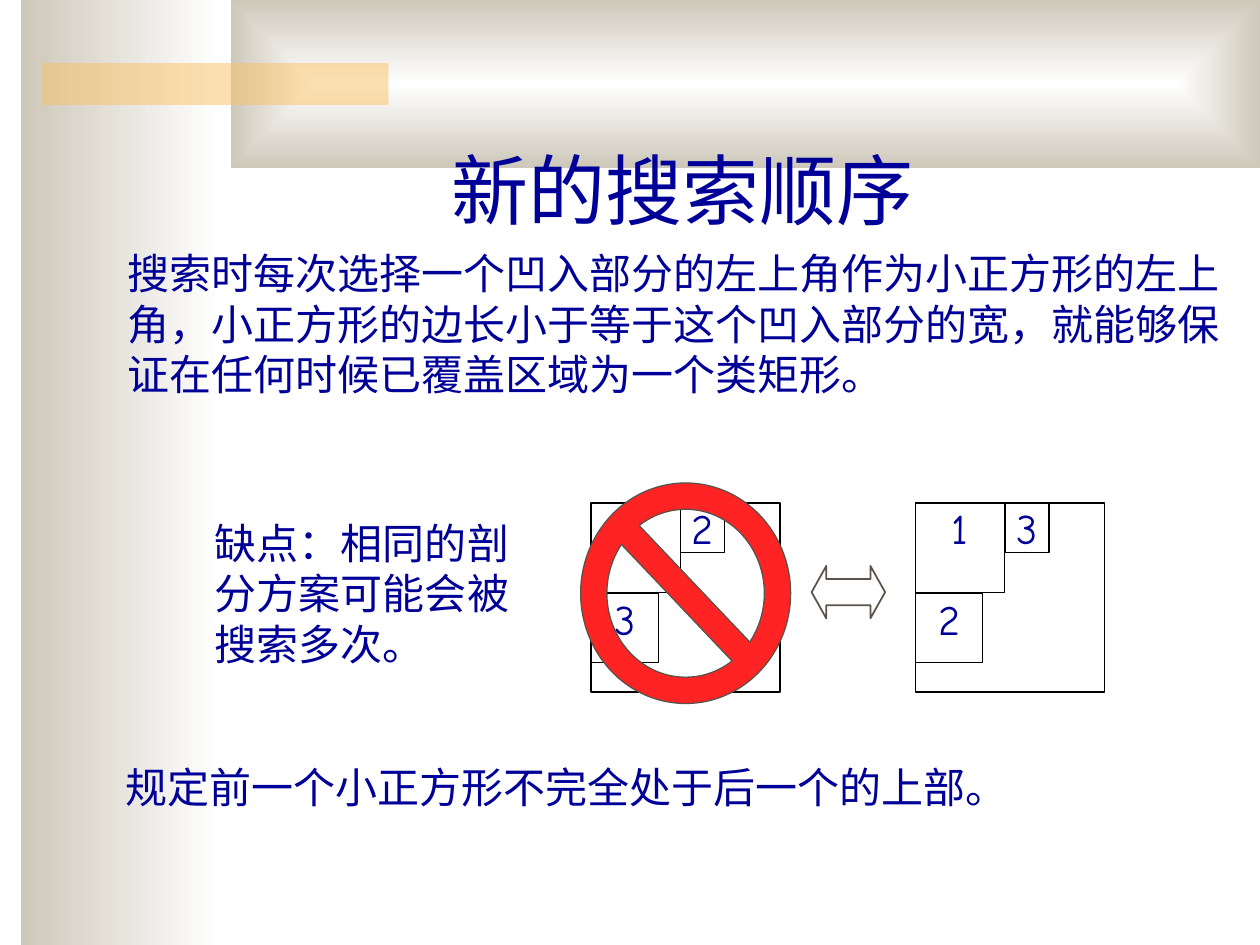
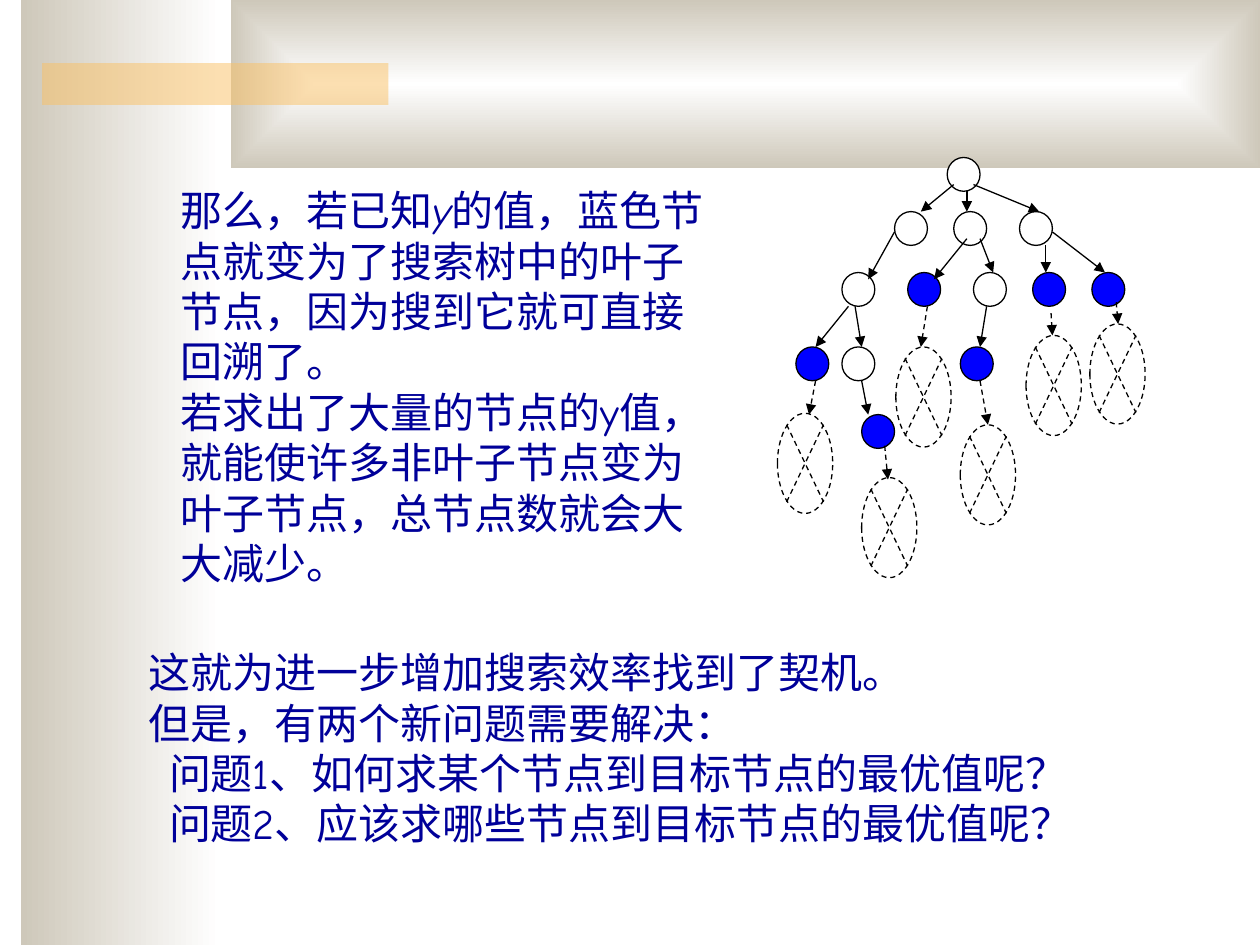
from dataclasses import dataclass
from typing import Any

from lxml import etree
from pptx import Presentation
from pptx import util as u
from pptx.dml.color import RGBColor
from pptx.enum import dml, shapes, text
from pptx.oxml.ns import qn

FONT = "Comic Neue"
NAVY, BLACK, WHITE, BLUE = "000099", "000000", "FFFFFF", "0000FF"
SAND, AMBER, RED, BROWN = "CEC8BA", "FAC164", "FF2323", "5B5249"
SHAPE = shapes.MSO_SHAPE
BODY_SIZE, TITLE_SIZE = 24, 44
TEXT_INSETS = (0.1, 0.05, 0.1, 0.05)


@dataclass(frozen=True)
class Grid:
    """Cells measured in inches from a left top corner."""
    left: float
    top: float
    column: float
    row: float

    def point(self, x: float, y: float) -> tuple:
        return u.Inches(self.left + x * self.column), u.Inches(self.top + y * self.row)

    def box(self, x: float, y: float, w: float, h: float) -> tuple:
        return (*self.point(x, y), u.Inches(w * self.column), u.Inches(h * self.row))


PAGE = Grid(0, 0, 10 / 120, 7.5 / 90)
TREE = Grid(6.16, 1.25, 0.0522, 0.0537)


@dataclass(frozen=True)
class Style:
    fill: str | None = None
    line: str | None = BLACK
    width: float = 0.75
    dashed: bool = False


@dataclass(frozen=True)
class Paragraph:
    runs: tuple
    indent: float = 0


@dataclass(frozen=True)
class Tile:
    x: float
    y: float
    w: float
    h: float


@dataclass(frozen=True)
class Node:
    x: float
    y: float
    fill: str = WHITE


@dataclass(frozen=True)
class Branch:
    x1: float
    y1: float
    x2: float
    y2: float
    dashed: bool = False


OUTLINE = Style()
DASHED = Style(dashed=True)
PLAIN = Style(line=None)


# Formatting helpers
def rgb(code: str) -> RGBColor:
    return RGBColor.from_string(code)


def apply(target: Any, formats: dict) -> None:
    for name, value in formats.items():
        setattr(target, name, value)


def style_line(line: Any, style: Style) -> None:
    if style.line is None:
        line.fill.background()
        return
    line.color.rgb = rgb(style.line)
    line.width = u.Pt(style.width)
    if style.dashed:
        line.dash_style = dml.MSO_LINE.DASH


def write(frame: Any, paragraphs: list[Paragraph], size: float = BODY_SIZE,
          align: Any = text.PP_ALIGN.LEFT, anchor: Any = text.MSO_ANCHOR.TOP,
          insets: tuple = TEXT_INSETS) -> None:
    sides = ("margin_left", "margin_top", "margin_right", "margin_bottom")
    apply(frame, {"word_wrap": True, "auto_size": text.MSO_AUTO_SIZE.NONE,
                  "vertical_anchor": anchor, **dict(zip(sides, map(u.Inches, insets)))})
    for index, content in enumerate(paragraphs):
        paragraph = frame.add_paragraph() if index else frame.paragraphs[0]
        paragraph.alignment = align
        if content.indent:
            paragraph._p.get_or_add_pPr().set("marL", str(u.Inches(content.indent)))
        for words, italic in content.runs:
            run = paragraph.add_run()
            run.text = words
            apply(run.font, {"name": FONT, "size": u.Pt(size), "italic": italic})
            run.font.color.rgb = rgb(NAVY)


def plain(words: str, indent: float = 0) -> Paragraph:
    return Paragraph(((words, False),), indent)


# Drawing helpers
def draw_shape(parent: Any, kind: Any, box: tuple, style: Style) -> Any:
    shape = parent.add_shape(kind, *box)
    shape.shadow.inherit = False
    if style.fill:
        shape.fill.solid()
        shape.fill.fore_color.rgb = rgb(style.fill)
    else:
        shape.fill.background()
    style_line(shape.line, style)
    return shape


def draw_line(parent: Any, start: tuple, end: tuple, style: Style, arrow: bool = False) -> None:
    line = parent.add_connector(shapes.MSO_CONNECTOR.STRAIGHT, *start, *end)
    style_line(line.line, style)
    if arrow:
        etree.SubElement(line.line._get_or_add_ln(), qn("a:tailEnd"), type="triangle")
    etree.SubElement(line._element.spPr, qn("a:effectLst"))


def draw_text(slide: Any, box: tuple, paragraphs: list[Paragraph]) -> None:
    write(slide.shapes.add_textbox(*box).text_frame, paragraphs)


def fade(shape: Any) -> None:
    shape.fill.gradient()
    shape.fill.gradient_angle = 180
    for stop, code, position in zip(shape.fill.gradient_stops, (WHITE, SAND), (0, 1)):
        stop.color.rgb = rgb(code)
        stop.position = position


def draw_bands(slide: Any) -> None:
    def band(*cells: float, fill: str | None = None) -> Any:
        return draw_shape(slide.shapes, SHAPE.RECTANGLE, PAGE.box(*cells),
                          Style(fill=fill, line=None))

    fade(band(2, 0, 19, 90))

    # The top band fades from its centre to its edges
    top = band(22, 0, 98, 16)
    fade(top)
    gradient = top._element.spPr.find(qn("a:gradFill"))
    gradient.remove(gradient.find(qn("a:lin")))
    centre = etree.SubElement(gradient, qn("a:path"), {"path": "rect"})
    etree.SubElement(centre, qn("a:fillToRect"), {side: "50000" for side in "ltrb"})

    accent = band(4, 6, 33, 4, fill=AMBER)
    colour = accent._element.spPr.find(f".//{qn('a:srgbClr')}")
    etree.SubElement(colour, qn("a:alpha"), val="50000")


def new_slide(deck: Any, title: str | None = None) -> Any:
    slide = deck.slides.add_slide(deck.slide_layouts[5 if title else 6])
    draw_bands(slide)
    if title:
        heading = slide.shapes.title
        apply(heading, dict(zip(("left", "top", "width", "height"), PAGE.box(14, 11, 102, 12))))
        write(heading.text_frame, [plain(title)], TITLE_SIZE,
              text.PP_ALIGN.CENTER, text.MSO_ANCHOR.BOTTOM)
        slide.shapes._spTree.append(heading._element)  # in front of the bands
    return slide


# Slide 1: search order
TILES = (Tile(0, 0, 8.5, 8.5), Tile(8.5, 0, 4.2, 4.7), Tile(0, 8.6, 6.4, 6.6))


def draw_dissection(slide: Any, left: float, order: str) -> None:
    top, side = 47.9, 18
    group = slide.shapes.add_group_shape().shapes
    draw_shape(group, SHAPE.RECTANGLE, PAGE.box(left, top, side, side), OUTLINE)
    for tile, number in zip(TILES, order):
        box = PAGE.box(left + tile.x, top + tile.y, tile.w, tile.h)
        square = draw_shape(group, SHAPE.RECTANGLE, box, OUTLINE)
        write(square.text_frame, [plain(number)], align=text.PP_ALIGN.CENTER, insets=(0,) * 4)


def build_search_order(deck: Any) -> None:
    slide = new_slide(deck, "新的搜索顺序")
    draw_text(slide, PAGE.box(11, 23, 107, 17.3), [plain(
        "搜索时每次选择一个凹入部分的左上角作为小正方形的左上角，小正方形的边长小于等于"
        "这个凹入部分的宽，就能够保证在任何时候已覆盖区域为一个类矩形。")])
    draw_text(slide, PAGE.box(19.3, 48.7, 31.2, 16.1),
              [plain("缺点：相同的剖分方案可能会被搜索多次。")])
    draw_dissection(slide, 56.3, "123")
    draw_dissection(slide, 87.2, "132")
    equivalence = draw_shape(slide.shapes, SHAPE.LEFT_RIGHT_ARROW,
                             PAGE.box(77.3, 53.9, 7, 5), Style(line=BROWN, width=1))
    equivalence.adjustments[1] = 0.28
    draw_text(slide, PAGE.box(10.8, 71.9, 106.2, 7.1),
              [plain("规定前一个小正方形不完全处于后一个的上部。")])
    ban = draw_shape(slide.shapes, SHAPE.NO_SYMBOL, PAGE.box(55.3, 46, 20, 21),
                     Style(fill=RED, line=BROWN))
    ban.adjustments[0] = 0.125


# Slide 2: search tree, in cells of the tree grid
NODES = (
    Node(26, 0),
    Node(18, 8), Node(27, 8), Node(37, 8),
    Node(10, 17), Node(20, 17, BLUE), Node(30, 17), Node(39, 17, BLUE), Node(48, 17, BLUE),
    Node(3, 28, BLUE), Node(10, 28), Node(28, 28, BLUE),
    Node(13, 38, BLUE),
)
BRANCHES = (
    Branch(27, 4, 22, 8), Branch(29, 5, 29, 8), Branch(30, 4, 40, 8),
    Branch(18, 11, 14, 18), Branch(29, 12, 24, 18), Branch(31, 12, 33, 17),
    Branch(41, 13, 41, 17), Branch(42, 11, 50, 17),
    Branch(32, 22, 31, 28), Branch(23, 22, 22, 28, True),
    Branch(12, 22, 13, 28), Branch(11, 22, 6, 28),
    Branch(6, 33, 5, 38, True), Branch(13, 33, 14, 38),
    Branch(31, 33, 32.2, 39.5, True), Branch(16.5, 42.6, 17, 47.6, True),
    Branch(41.8, 23, 42, 26.3, True), Branch(51.7, 21.4, 52, 24.6, True),
)
PRUNED = ((0.2, 37.8), (13, 47.3), (18.2, 28), (28, 39.5), (38, 26.3), (47.7, 24.6))
NODE_SIZE = 5
PRUNED_W, PRUNED_H = 8.4, 14.8
CROSS_X, CROSS_Y = 1.4, 1.7


def draw_tree(slide: Any) -> None:
    group = slide.shapes.add_group_shape().shapes
    for node in NODES:
        draw_shape(group, SHAPE.OVAL, TREE.box(node.x, node.y, NODE_SIZE, NODE_SIZE),
                   Style(fill=node.fill))
    for branch in BRANCHES:
        draw_line(group, TREE.point(branch.x1, branch.y1), TREE.point(branch.x2, branch.y2),
                  DASHED if branch.dashed else OUTLINE, arrow=True)
    # Crossed-out subtrees
    for x, y in PRUNED:
        draw_shape(group, SHAPE.OVAL, TREE.box(x, y, PRUNED_W, PRUNED_H), DASHED)
        left, right = x + CROSS_X, x + PRUNED_W - CROSS_X
        top, bottom = y + CROSS_Y, y + PRUNED_H - CROSS_Y
        draw_line(group, TREE.point(left, top), TREE.point(right, bottom), DASHED)
        draw_line(group, TREE.point(left, bottom), TREE.point(right, top), DASHED)


def build_search_tree(deck: Any) -> None:
    slide = new_slide(deck)
    draw_text(slide, PAGE.box(16, 17, 54, 41), [
        Paragraph((("那么，若已知", False), ("y", True),
                   ("的值，蓝色节点就变为了搜索树中的叶子节点，因为搜到它就可直接回溯了。", False))),
        plain("若求出了大量的节点的y值，就能使许多非叶子节点变为叶子节点，总节点数就会大大减少。"),
    ])
    draw_tree(slide)
    draw_text(slide, PAGE.box(13, 61, 101, 22), [
        plain("这就为进一步增加搜索效率找到了契机。"),
        plain("但是，有两个新问题需要解决："),
        plain("问题1、如何求某个节点到目标节点的最优值呢？", 0.16),
        plain("问题2、应该求哪些节点到目标节点的最优值呢？", 0.16),
    ])


def main() -> None:
    deck = Presentation()
    apply(deck, {"slide_width": u.Inches(10), "slide_height": u.Inches(7.5)})
    build_search_order(deck)
    build_search_tree(deck)
    deck.save("out.pptx")


if __name__ == "__main__":
    main()
